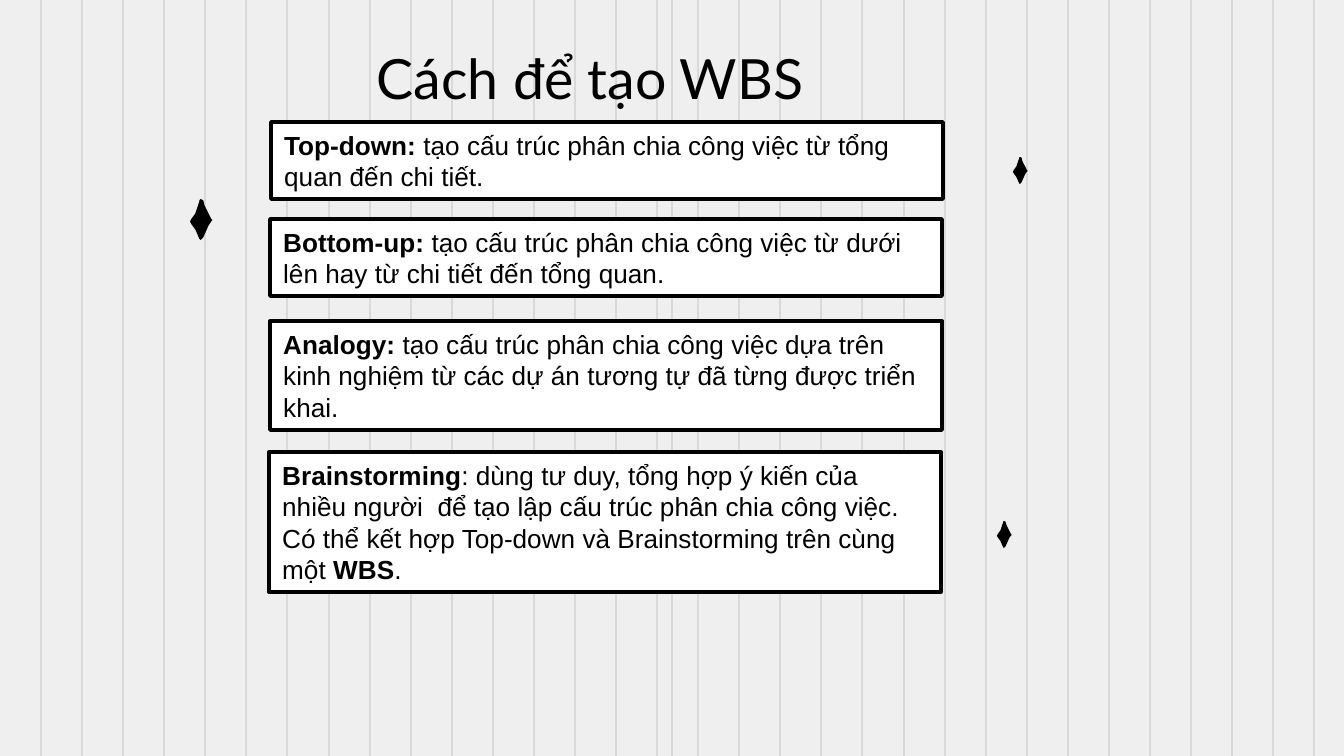
import pptx
import pptx.util
import pptx.dml.color
import pptx.enum.shapes
import pptx.enum.text
import pptx.oxml.ns
import lxml.etree


def px(length):
    return pptx.util.Emu(round(length * 914400 / 134.4))


def color(value):
    return pptx.dml.color.RGBColor.from_string(value)


deck = pptx.Presentation()
deck.slide_width = px(1344)
deck.slide_height = px(756)
page = deck.slides.add_slide(deck.slide_layouts[5])
page.background.fill.solid()
page.background.fill.fore_color.rgb = color("EFEFEF")

stripes = [round(41.07 * number) for number in range(1, 33)] + [672]
for x in stripes:
    stripe = page.shapes.add_connector(
        pptx.enum.shapes.MSO_CONNECTOR.STRAIGHT, px(x), px(0), px(x), px(756))
    stripe.line.color.rgb = color("D9D9D9")
    stripe.line.width = pptx.util.Pt(0.75)
    lxml.etree.SubElement(stripe._element.spPr, pptx.oxml.ns.qn("a:effectLst"))

title = page.shapes.title
page.shapes.element.append(title.element)
title.left, title.top, title.width, title.height = px(344), px(31), px(493), px(85)
frame = title.text_frame
frame.text = "Cách để tạo WBS"
frame.word_wrap = True
frame.auto_size = pptx.enum.text.MSO_AUTO_SIZE.NONE
frame.vertical_anchor = pptx.enum.text.MSO_ANCHOR.TOP
frame.margin_left = frame.margin_right = px(13)
frame.margin_top = frame.margin_bottom = px(13)
para = frame.paragraphs[0]
para.alignment = pptx.enum.text.PP_ALIGN.CENTER
span = para.runs[0]
span.font.size = pptx.util.Pt(29.7)
span.font.name = "Lato"
span.font.color.rgb = color("000000")

outline = [(8, 0), (7, 1), (7, 2), (4, 11), (1, 15), (0, 17), (1, 19), (4, 23),
           (7, 30), (8, 31), (10, 29), (14, 20), (16, 17), (17, 16), (16, 15),
           (15, 13), (11, 5), (10, 1)]
sparkles = [(997, 521, 27), (190, 199, 41), (1013, 157, 27)]
for left, top, height in sparkles:
    builder = page.shapes.build_freeform(*outline[0], scale=px(height) / 31)
    builder.add_line_segments(outline[1:], close=True)
    sparkle = builder.convert_to_shape(px(left), px(top))
    sparkle.shadow.inherit = False
    sparkle.fill.solid()
    sparkle.fill.fore_color.rgb = color("000000")
    sparkle.line.fill.background()

methods = [
    (271, 122, 77, [
        ("Top-down: ", True),
        ("tạo cấu trúc phân chia công việc từ tổng quan đến chi tiết.", False)]),
    (270, 219, 77, [
        ("Bottom-up: ", True),
        ("tạo cấu trúc phân chia công việc từ dưới lên hay từ chi tiết đến tổng quan.", False)]),
    (270, 321, 109, [
        ("Analogy: ", True),
        ("tạo cấu trúc phân chia công việc dựa trên kinh nghiệm từ các dự án "
         "tương tự đã từng được triển khai.", False)]),
    (269, 452, 140, [
        ("Brainstorming", True),
        (": dùng tư duy, tổng hợp ý kiến của nhiều người  để tạo lập cấu trúc "
         "phân chia công việc. Có thể kết hợp Top-down và Brainstorming trên "
         "cùng một ", False),
        ("WBS", True),
        (".", False)]),
]
for left, top, height, parts in methods:
    box = page.shapes.add_shape(
        pptx.enum.shapes.MSO_SHAPE.RECTANGLE, px(left), px(top), px(672), px(height))
    box.shadow.inherit = False
    box.fill.solid()
    box.fill.fore_color.rgb = color("FFFFFF")
    box.line.color.rgb = color("000000")
    box.line.width = pptx.util.Pt(2)
    frame = box.text_frame
    frame.word_wrap = True
    frame.auto_size = pptx.enum.text.MSO_AUTO_SIZE.SHAPE_TO_FIT_TEXT
    para = frame.paragraphs[0]
    para.alignment = pptx.enum.text.PP_ALIGN.LEFT
    for words, bold in parts:
        span = para.add_run()
        span.text = words
        span.font.size = pptx.util.Pt(14)
        span.font.name = "Arial"
        span.font.bold = bold
        span.font.color.rgb = color("000000")

deck.save("out.pptx")
